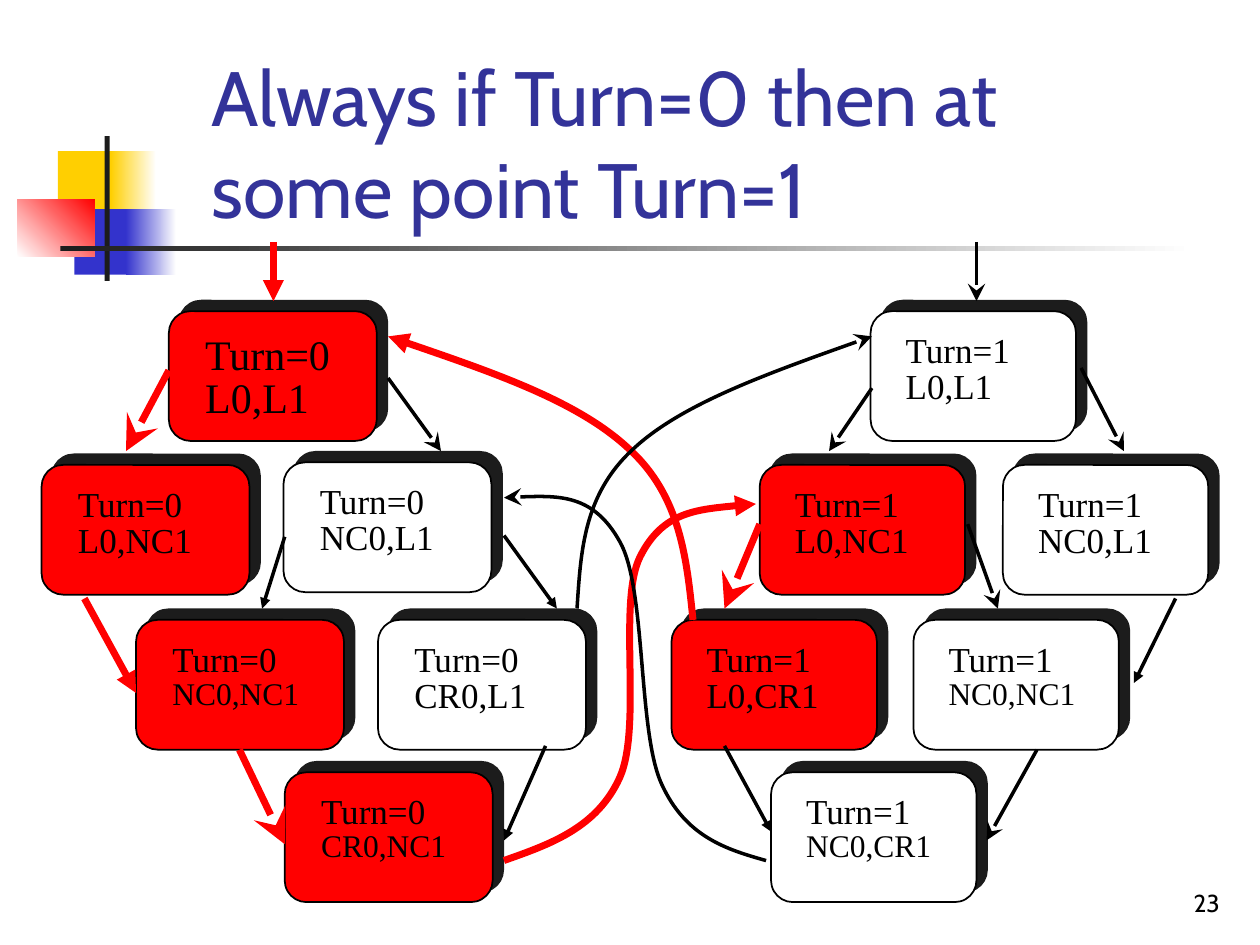
"""Build the slide of the two-process turn state graph."""
from dataclasses import dataclass

from lxml.etree import SubElement
from pptx import Presentation
from pptx.dml.color import RGBColor
from pptx.enum.shapes import MSO_CONNECTOR, MSO_SHAPE
from pptx.enum.text import MSO_ANCHOR, MSO_AUTO_SIZE, PP_ALIGN
from pptx.oxml.ns import qn
from pptx.util import Inches, Pt


@dataclass(frozen=True)
class Theme:
    black: str = "000000"
    white: str = "FFFFFF"
    red: str = "FF0000"
    yellow: str = "FFCF01"
    blue: str = "3333CC"
    dark: str = "1C1C1C"
    title: str = "333399"
    sans: str = "Cabin"
    serif: str = "Times New Roman"
    title_size: int = 44
    number_size: int = 14
    large: int = 24
    medium: int = 20
    small: int = 18
    thick: float = 4
    thin: float = 2
    hair: float = 0.75


T = Theme()


class Painter:
    def __init__(self, theme, slide):
        self.t = theme
        self.s = slide

    def apply(self, target, values):
        for name, value in values.items():
            setattr(target, name, value)

    def rect(self, box, start, end=None, angle=0):
        sp = self.s.shapes.add_shape(MSO_SHAPE.RECTANGLE, *map(Inches, box))
        sp.shadow.inherit = False
        sp.line.fill.background()
        if end is None:
            sp.fill.solid()
            sp.fill.fore_color.rgb = RGBColor.from_string(start)
            return
        sp.fill.gradient()
        sp.fill.gradient_angle = angle
        for stop, color in zip(sp.fill.gradient_stops, (start, end)):
            stop.color.rgb = RGBColor.from_string(color)

    def text(self, box, lines, font, color, frame=None, para=None, shapes=None):
        sp = (shapes or self.s.shapes).add_textbox(*map(Inches, box))
        tf = sp.text_frame
        self.apply(tf, {"word_wrap": True, **(frame or {})})
        for i, (words, size) in enumerate(lines):
            p = tf.add_paragraph() if i else tf.paragraphs[0]
            self.apply(p, para or {})
            if i:
                self.apply(p, {"line_spacing": 0.2, "space_before": Pt(size * 0.625)})
            r = p.add_run()
            r.text = words
            self.apply(r.font, {"name": font, "size": Pt(size)})
            r.font.color.rgb = RGBColor.from_string(color)

    def node(self, x, y, width, fill, lines):
        shapes = self.s.shapes.add_group_shape().shapes
        sp = shapes.add_shape(MSO_SHAPE.ROUNDED_RECTANGLE,
                              *map(Inches, (x, y, width, 1.03)))
        sp.adjustments[0] = 0.167
        sp.fill.solid()
        sp.fill.fore_color.rgb = RGBColor.from_string(fill)
        self.stroke(sp, self.t.black, 1)
        sp.shadow.inherit = False
        effects = sp.element.spPr.find(qn("a:effectLst"))
        shadow = SubElement(effects, qn("a:outerShdw"), dist=str(Pt(8.5)),
                            dir="18900000", algn="ctr", rotWithShape="0")
        SubElement(shadow, qn("a:srgbClr"), val=self.t.dark)
        height = 0.79 if lines[0][1] == self.t.large else 0.67
        inset = 0.19 if width > 1.63 else 0.18
        self.text((x + inset, y + 0.09, width - 0.27, height), lines,
                  self.t.serif, self.t.black,
                  {"auto_size": MSO_AUTO_SIZE.SHAPE_TO_FIT_TEXT}, shapes=shapes)

    def stroke(self, sp, color, width, head=None):
        sp.line.color.rgb = RGBColor.from_string(color)
        sp.line.width = Pt(width)
        if head:
            size = "lg" if head == "stealth" else "med"
            SubElement(sp.element.spPr.find(qn("a:ln")), qn("a:tailEnd"),
                       type=head, w=size, len=size)

    def arrow(self, start, end, color, width, head):
        sp = self.s.shapes.add_connector(MSO_CONNECTOR.STRAIGHT,
                                         *map(Inches, start + end))
        self.stroke(sp, color, width, head)
        SubElement(sp.element.spPr, qn("a:effectLst"))

    def curve(self, points, color, width, head):
        start, *rest = [tuple(map(Inches, point)) for point in points]
        builder = self.s.shapes.build_freeform(*start)
        builder.add_line_segments(rest, close=False)
        sp = builder.convert_to_shape()
        outline = next(sp.element.iter(qn("a:path")))
        segments = outline.findall(qn("a:lnTo"))
        for i in range(0, len(segments), 3):
            bezier = SubElement(outline, qn("a:cubicBezTo"))
            for segment in segments[i:i + 3]:
                bezier.append(segment[0])
                outline.remove(segment)
        sp.fill.background()
        sp.shadow.inherit = False
        self.stroke(sp, color, width, head)


DECOR = [
    ((0.46, 1.2, 0.48, 0.52), T.yellow),
    ((0.88, 1.2, 0.36, 0.52), T.yellow, T.white),
    ((0.59, 1.66, 0.46, 0.52), T.blue),
    ((1, 1.66, 0.4, 0.52), T.blue, T.white),
    ((0.14, 1.58, 0.61, 0.46), T.white, T.red, 45),
    ((0.83, 1.08, 0.04, 1.15), T.dark),
    ((0.48, 1.95, 9, 0.04), T.dark, T.white),
]
ROWS = (2.47, 3.69, 4.92, 6.13)
NODES = [
    (1.34, ROWS[0], 0, T.red, "L0,L1", T.large, T.large),
    (0.33, ROWS[1], 0, T.red, "L0,NC1", T.medium, T.medium),
    (2.25, 3.67, 0, T.white, "NC0,L1", T.medium, T.medium),
    (2.26, ROWS[3], 0, T.red, "CR0,NC1", T.medium, T.small),
    (1.08, ROWS[2], 0, T.red, "NC0,NC1", T.medium, T.small),
    (3, ROWS[2], 0, T.white, "CR0,L1", T.medium, T.medium),
    (5.33, ROWS[2], 1, T.red, "L0,CR1", T.medium, T.medium),
    (6.12, ROWS[3], 1, T.white, "NC0,CR1", T.medium, T.small),
    (6.03, ROWS[1], 1, T.red, "L0,NC1", T.medium, T.medium),
    (7.25, ROWS[2], 1, T.white, "NC0,NC1", T.medium, T.small),
    (7.96, ROWS[1], 1, T.white, "NC0,L1", T.medium, T.medium),
    (6.91, ROWS[0], 1, T.white, "L0,L1", T.medium, T.medium),
]
NODE_WIDTH = (1.65, 1.63)
RED_STEALTH = (T.red, T.thick, "stealth")
RED_TRIANGLE = (T.red, T.thick, "triangle")
STEALTH = (T.black, T.thin, "stealth")
TRIANGLE = (T.black, T.thin, "triangle")
ARROWS = [
    ((3.08, 3), (3.5, 3.58), STEALTH),
    ((1.34, 2.94), (1, 3.58), RED_STEALTH),
    ((4, 4.25), (4.42, 4.83), TRIANGLE),
    ((1.9, 5.95), (2.26, 6.7), RED_STEALTH),
    ((4.33, 5.92), (4, 6.67), TRIANGLE),
    ((2.26, 4.26), (2.08, 4.83), TRIANGLE),
    ((6.03, 4.16), (5.75, 4.83), RED_STEALTH),
    ((9.33, 4.75), (9, 5.42), TRIANGLE),
    ((5.75, 5.92), (6.12, 6.6), TRIANGLE),
    ((8.23, 5.95), (7.83, 6.67), STEALTH),
    ((7.68, 4.16), (7.92, 4.83), STEALTH),
    ((2.17, 1.92), (2.17, 2.39), RED_TRIANGLE),
    ((7.75, 1.92), (7.75, 2.39), STEALTH),
]
CURVES = [
    ([(4, 6.83), (4.37, 6.7), (4.74, 6.57), (4.92, 6.17), (5.1, 5.76),
      (4.9, 4.78), (5.08, 4.42), (5.26, 4.06), (5.63, 4.03), (6, 4)], RED_TRIANGLE),
    ([(6.08, 6.83), (5.76, 6.74), (5.44, 6.64), (5.25, 6.22), (5.06, 5.8),
      (5.13, 4.67), (4.92, 4.3), (4.71, 3.92), (4.35, 3.93), (4, 3.95)], STEALTH),
    ([(5.5, 4.92), (5.45, 4.43), (5.4, 3.94), (5, 3.57), (4.6, 3.19),
      (3.84, 2.93), (3.08, 2.67)], RED_TRIANGLE),
    ([(4.58, 4.83), (4.61, 4.38), (4.63, 3.93), (5.02, 3.57), (5.4, 3.21),
      (6.16, 2.94), (6.92, 2.67)], STEALTH),
]
FRONT_ARROWS = [
    ((8.58, 2.92), (8.92, 3.58), STEALTH),
    ((6.93, 2.67), (6.93, 2.67), (T.black, T.hair, "triangle")),
    ((0.67, 4.75), (1.08, 5.5), RED_TRIANGLE),
    ((6.92, 3.08), (6.58, 3.58), STEALTH),
]


def main():
    prs = Presentation()
    prs.slide_width, prs.slide_height = Inches(10), Inches(7.5)
    painter = Painter(T, prs.slides.add_slide(prs.slide_layouts[6]))
    for decor in DECOR:
        painter.rect(*decor)
    painter.text((7.7, 6.83, 2.08, 0.5), [("23", T.number_size)], T.sans, T.black,
                 {"vertical_anchor": MSO_ANCHOR.BOTTOM}, {"alignment": PP_ALIGN.RIGHT})
    painter.text((1.58, 0.5, 7.67, 1.25),
                 [("Always if Turn=0 then at some point Turn=1", T.title_size)],
                 T.sans, T.title, {"vertical_anchor": MSO_ANCHOR.MIDDLE})
    for x, y, turn, fill, state, size, state_size in NODES:
        painter.node(x, y, NODE_WIDTH[turn], fill,
                     [(f"Turn={turn}", size), (state, state_size)])
    for start, end, style in ARROWS:
        painter.arrow(start, end, *style)
    for points, style in CURVES:
        painter.curve(points, *style)
    for start, end, style in FRONT_ARROWS:
        painter.arrow(start, end, *style)
    prs.save("out.pptx")


if __name__ == "__main__":
    main()
